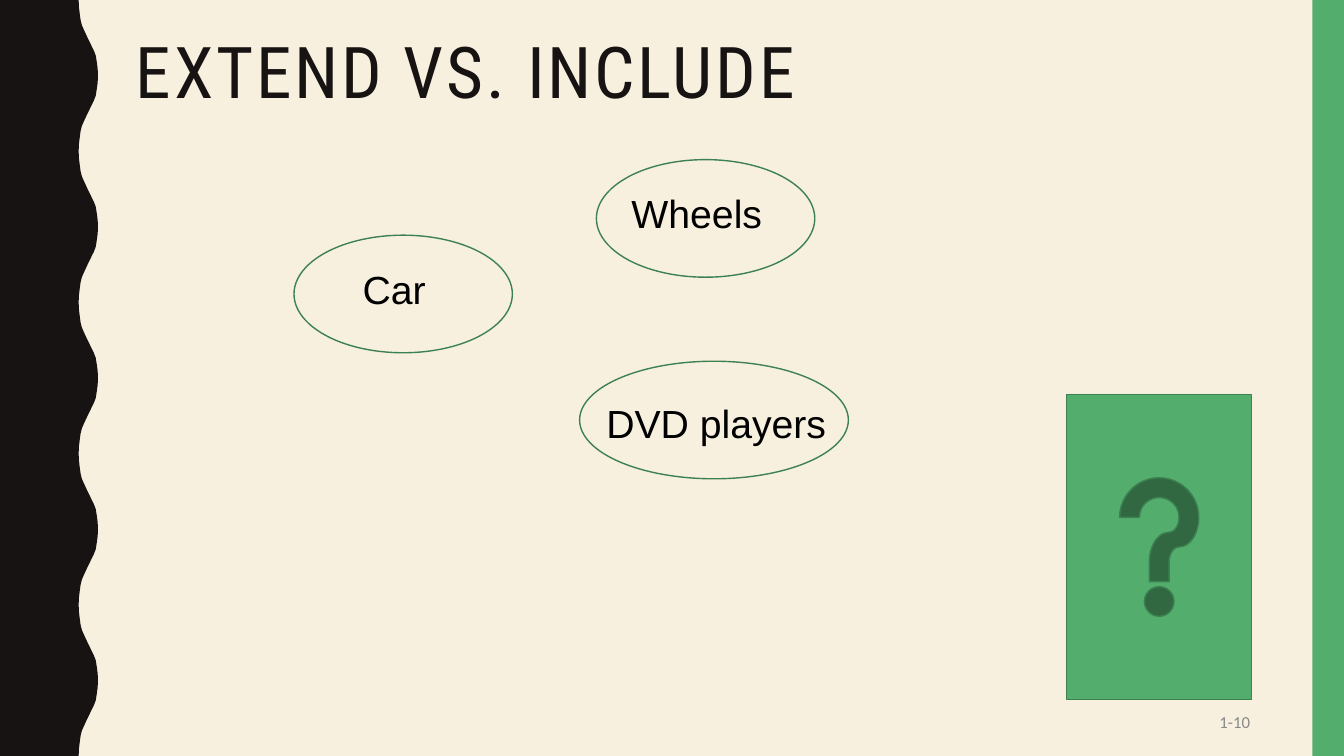
from pptx import Presentation
from pptx.dml.color import RGBColor
from pptx.enum.shapes import MSO_SHAPE
from pptx.enum.text import MSO_ANCHOR, PP_ALIGN
from pptx.util import Pt

RECTANGLE, OVAL = MSO_SHAPE.RECTANGLE, MSO_SHAPE.OVAL
HELP_BUTTON = MSO_SHAPE.ACTION_BUTTON_HELP
LEFT, RIGHT = PP_ALIGN.LEFT, PP_ALIGN.RIGHT
TOP, MIDDLE = MSO_ANCHOR.TOP, MSO_ANCHOR.MIDDLE

CREAM = RGBColor(0xF7, 0xF0, 0xDF)
INK = RGBColor(0x17, 0x13, 0x12)
GREEN = RGBColor(0x53, 0xAE, 0x6E)
DARK_GREEN = RGBColor(0x3D, 0x81, 0x51)
GREY = RGBColor(0x89, 0x89, 0x89)
BLACK = RGBColor(0, 0, 0)

SLIDE_WIDTH, SLIDE_HEIGHT = 960, 540

# Outward half of one wave as (x, y); the other half mirrors it
WAVE_LENGTH = 108
HALF_WAVE = [(56.2, 0), (56.4, 5), (57, 10), (57.6, 14.4), (58.5, 18),
             (59.8, 21), (61.2, 24), (62.6, 27), (64.1, 30), (65.5, 33),
             (67, 36), (68.4, 39.6), (69.1, 44), (69.8, 49), (70, 54)]

# Use case: name, ellipse box, offset of the name inside the ellipse, name width
USE_CASES = [
    ("Car", (210, 168, 156, 84), (42, 18), 90),
    ("Wheels", (426, 114, 156, 84), (18, 18), 174),
    ("DVD players", (414, 258, 192, 84), (12, 24), 204),
]


def add_text(slide, box, text, size, font, color, align=LEFT, anchor=TOP):
    frame = slide.shapes.add_textbox(*map(Pt, box)).text_frame
    frame.word_wrap = True
    frame.vertical_anchor = anchor
    paragraph = frame.paragraphs[0]
    paragraph.alignment = align
    run = paragraph.add_run()
    run.text = text
    run.font.size = Pt(size)
    run.font.name = font
    run.font.color.rgb = color
    return paragraph


def paint(shape, fill=None, line=None):
    shape.shadow.inherit = False
    if fill is None:
        shape.fill.background()
    else:
        shape.fill.solid()
        shape.fill.fore_color.rgb = fill
    if line is None:
        shape.line.fill.background()
    else:
        shape.line.color.rgb = line
        shape.line.width = Pt(1)


def add_wavy_edge(slide, left, top, height):
    wave = HALF_WAVE + [(x, WAVE_LENGTH - y) for x, y in HALF_WAVE[-2::-1]]
    edge = [(left + x, top + start + y)
            for start in range(0, height, WAVE_LENGTH) for x, y in wave]
    builder = slide.shapes.build_freeform(Pt(left), Pt(top))
    outline = edge + [(left, top + height)]
    builder.add_line_segments([(Pt(x), Pt(y)) for x, y in outline], close=True)
    paint(builder.convert_to_shape(), INK)


def add_side_bar(slide, box):
    paint(slide.shapes.add_shape(RECTANGLE, *map(Pt, box)), GREEN)


def add_title(slide, box):
    title = add_text(slide, box, "EXTEND VS. INCLUDE", 51, "Roboto Condensed", INK)
    title.line_spacing = 0.9
    title.runs[0].font._element.set("spc", "200")


def add_use_case(slide, box, name, offset, name_width):
    left, top = box[0] + offset[0], box[1] + offset[1]
    add_text(slide, (left, top, name_width, 41), name, 28, "Arial", BLACK)
    paint(slide.shapes.add_shape(OVAL, *map(Pt, box)), line=DARK_GREEN)


def add_help_button(slide, box):
    paint(slide.shapes.add_shape(HELP_BUTTON, *map(Pt, box)), GREEN, DARK_GREEN)


def main():
    deck = Presentation()
    deck.slide_width, deck.slide_height = Pt(SLIDE_WIDTH), Pt(SLIDE_HEIGHT)
    slide = deck.slides.add_slide(deck.slide_layouts[6])
    slide.background.fill.solid()
    slide.background.fill.fore_color.rgb = CREAM

    # Frame of the slide
    add_wavy_edge(slide, 0, 0, SLIDE_HEIGHT)
    add_side_bar(slide, (937.5, 0, 22.5, SLIDE_HEIGHT))
    add_title(slide, (90, 23, 672, 78))

    # Slide number
    add_text(slide, (678, 502, 222, 27), "1-10", 12, "Calibri", GREY, RIGHT, MIDDLE)

    # Use cases and the question
    for name, box, offset, name_width in USE_CASES:
        add_use_case(slide, box, name, offset, name_width)
    add_help_button(slide, (762, 282, 132, 217.5))

    deck.save("out.pptx")


if __name__ == "__main__":
    main()
